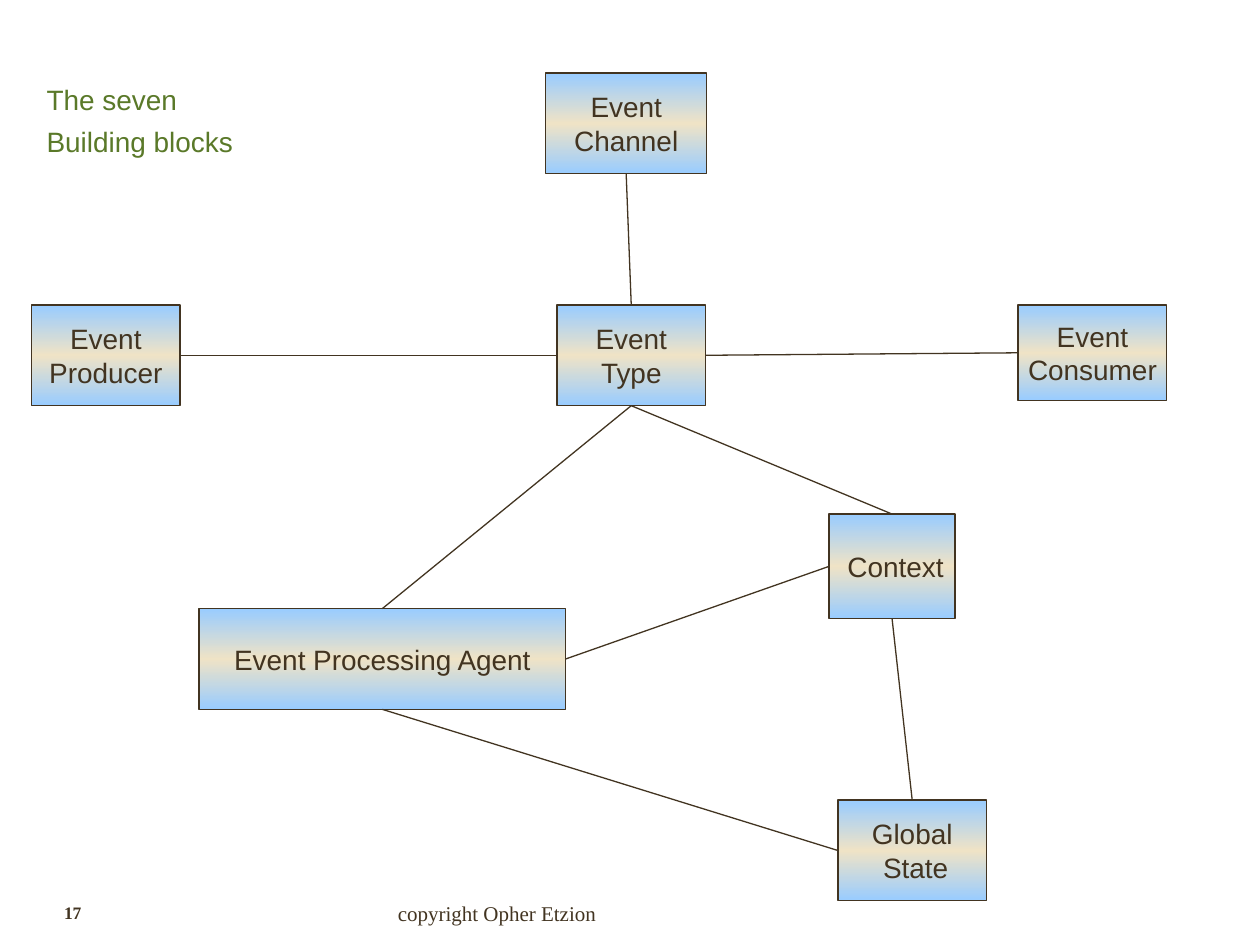
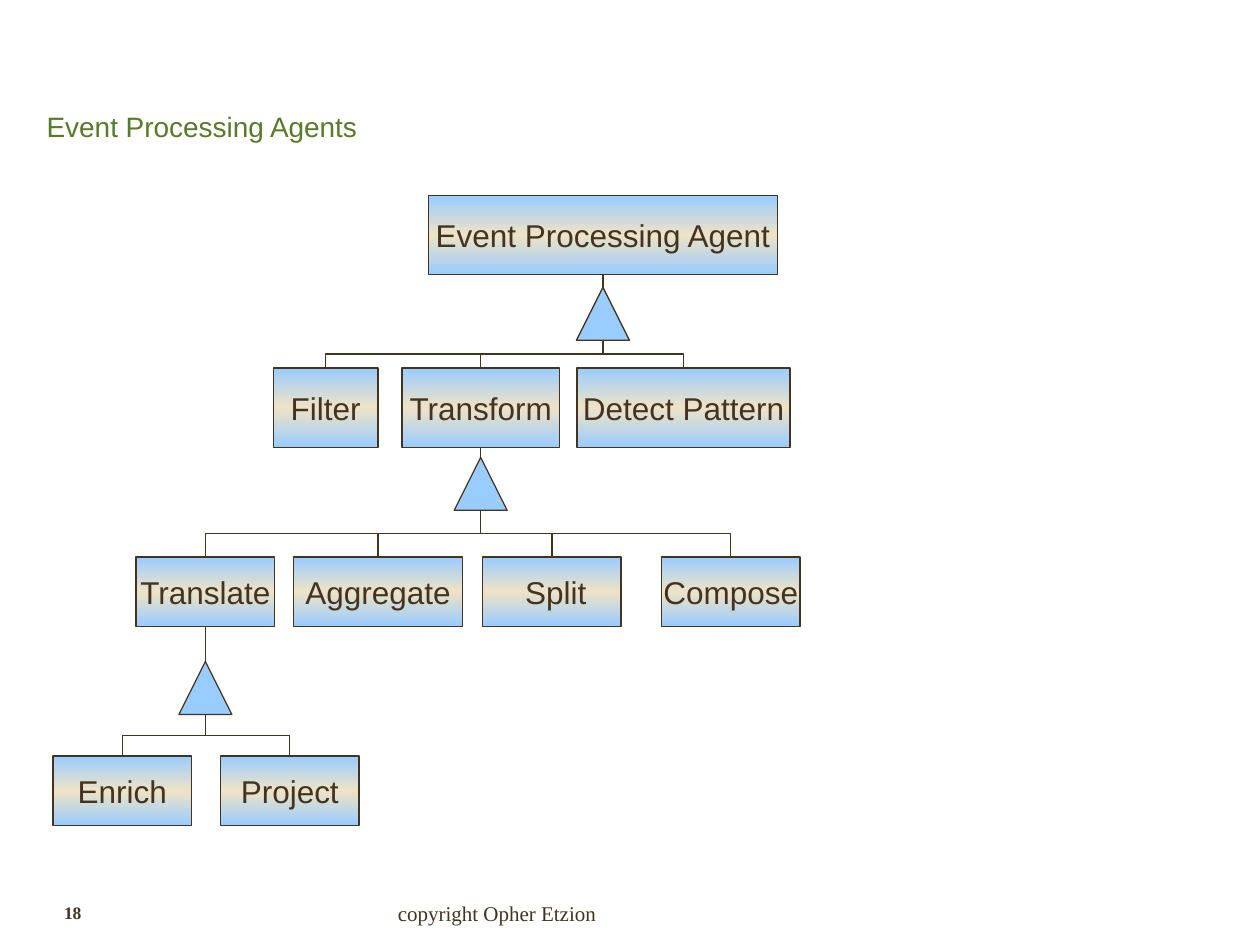
"""Two slides on the building blocks and agents of event processing."""
from copy import deepcopy

from lxml import etree
from pptx import Presentation
from pptx.dml.color import RGBColor
from pptx.enum import shapes, text
from pptx.oxml.ns import qn
from pptx.util import Inches, Pt

HUES = {"ink": "423421", "title": "5A7929", "sky": "99CCFF", "sand": "EFE3C6"}
SANS, SERIF = "Arial", "Times New Roman"
TITLE = (0.27, 0.36, 8.11, 1.25)
FOOT = (2.24, 6.9, 3.17, 0.5)
PAGE = (0.17, 7.11, 1.1, 0.35)
TOP, LEFT, BASE, RIGHT = range(4)

BLOCKS = {
    "agent": ("Event Processing Agent", 1.33, 4.25, 2.91, 0.8),
    "context": ("Context ", 6.33, 3.5, 1, 0.83),
    "channel": ("Event\nChannel", 4.08, 0, 1.28, 0.8),
    "consumer": ("Event\nConsumer", 7.83, 1.84, 1.18, 0.76),
    "type": ("Event\nType", 4.17, 1.84, 1.18, 0.8),
    "producer": ("Event\nProducer", 0, 1.84, 1.18, 0.8),
    "state": ("Global\nState ", 6.4, 5.77, 1.18, 0.8),
}
LINKS = [
    ("type", BASE, "agent", TOP),
    ("producer", RIGHT, "type", LEFT),
    ("channel", BASE, "type", TOP),
    ("consumer", LEFT, "type", RIGHT),
    ("context", LEFT, "agent", RIGHT),
    ("agent", BASE, "state", LEFT),
    ("context", TOP, "type", BASE),
    ("context", BASE, "state", TOP),
]
ROWS = [
    (0, 0.63, [("Event Processing Agent", 2.98, 2.77)]),
    (1.37, 0.63, [("Filter", 1.75, 0.83), ("Transform", 2.77, 1.25),
                  ("Detect Pattern", 4.16, 1.69)]),
    (2.87, 0.55, [("Translate", 0.66, 1.1), ("Aggregate", 1.91, 1.34),
                  ("Split ", 3.41, 1.1), ("Compose", 4.83, 1.1)]),
    (4.45, 0.55, [("Enrich", 0, 1.1), ("Project", 1.33, 1.1)]),
]
FORKS = [("Event Processing Agent", 0.1), ("Transform", 0.08), ("Translate", 0.28)]


def rgb(name):
    """Return a named colour."""
    return RGBColor.from_string(HUES[name])


def place(shape, box):
    """Move and size a shape to a box in inches."""
    shape.left, shape.top, shape.width, shape.height = map(Inches, box)


def write(para, words, size, face=SANS, hue="ink", bold=False):
    """Add one formatted run."""
    run = para.add_run()
    run.text = words
    font = run.font
    font.name, font.size, font.bold = face, Pt(size), bold
    font.color.rgb = rgb(hue)


def edge(line):
    """Give a line the shared colour and width."""
    line.color.rgb = rgb("ink")
    line.width = Pt(0.75)


def block(slide, label, box, size):
    """Draw a labelled box with a three-stop gradient."""
    rect = slide.shapes.add_shape(shapes.MSO_SHAPE.RECTANGLE, *map(Inches, box))
    rect.shadow.inherit = False
    fill = rect.fill
    fill.gradient()
    fill.gradient_angle = 270
    stop = rect._element.spPr.find(".//" + qn("a:gs"))
    stop.addnext(deepcopy(stop))
    for stop, spot, hue in zip(fill.gradient_stops, (0, 0.5, 1), ("sky", "sand", "sky")):
        stop.position = spot
        stop.color.rgb = rgb(hue)
    edge(rect.line)
    frame = rect.text_frame
    frame.word_wrap = False
    frame.vertical_anchor = text.MSO_ANCHOR.MIDDLE
    for i, words in enumerate(label.split("\n")):
        para = frame.add_paragraph() if i else frame.paragraphs[0]
        para.alignment = text.PP_ALIGN.CENTER
        para._p.get_or_add_pPr().set("rtl", "1")
        write(para, words, size)
    return rect


def wire(slide, kind, ends=(0, 0, 0, 0)):
    """Add a plain connector without a shadow."""
    line = slide.shapes.add_connector(kind, *map(int, ends))
    edge(line.line)
    etree.SubElement(line._element.spPr, qn("a:effectLst"))
    return line


def join(slide, start, out, stop, into):
    """Join the sides of two shapes with a straight line."""
    line = wire(slide, shapes.MSO_CONNECTOR.STRAIGHT)
    line.begin_connect(start, out)
    line.end_connect(stop, into)


def elbow(slide, mark, kid):
    """Run a down-across-down elbow from a triangle to a box."""
    x, y = mark.left + mark.width / 2, mark.top + mark.height
    dx, dy = kid.left + kid.width / 2 - x, kid.top - y
    mx, my = x + dx / 2, y + dy / 2
    line = wire(slide, shapes.MSO_CONNECTOR.ELBOW,
                (mx - dy / 2, my + dx / 2, mx + dy / 2, my - dx / 2))
    line._element.spPr.find(qn("a:xfrm")).set("rot", "5400000")


def fork(slide, head, gap, kids):
    """Hang a triangle below a box and branch to its kinds."""
    side = Inches(0.42)
    mark = slide.shapes.add_shape(
        shapes.MSO_SHAPE.ISOSCELES_TRIANGLE, head.left + (head.width - side) // 2,
        head.top + head.height + Inches(gap), side, side)
    mark.shadow.inherit = False
    mark.fill.solid()
    mark.fill.fore_color.rgb = rgb("sky")
    edge(mark.line)
    join(slide, head, BASE, mark, TOP)
    for kid in kids:
        elbow(slide, mark, kid)


def web(slide, x, y):
    """Draw the linked building blocks from a corner."""
    parts = {key: block(slide, label, (x + dx, y + dy, w, h), 16)
             for key, (label, dx, dy, w, h) in BLOCKS.items()}
    for start, out, stop, into in LINKS:
        join(slide, parts[start], out, parts[stop], into)


def tree(slide, x, y):
    """Draw the hierarchy of agents from a corner."""
    rows = [{label: block(slide, label, (x + dx, y + dy, w, h), 18)
             for label, dx, w in row} for dy, h, row in ROWS]
    for (head, gap), row, kids in zip(FORKS, rows, rows[1:]):
        fork(slide, row[head], gap, kids.values())


def title(slide, lines, box):
    """Format the title placeholder."""
    shape = slide.shapes.title
    place(shape, box)
    frame = shape.text_frame
    frame.word_wrap = True
    frame.auto_size = text.MSO_AUTO_SIZE.NONE
    frame.vertical_anchor = text.MSO_ANCHOR.MIDDLE
    para = frame.paragraphs[0]
    para.alignment = text.PP_ALIGN.LEFT
    para.line_spacing = 0.9
    for i, words in enumerate(lines):
        if i:
            para.add_line_break()
        write(para, words, 16, hue="title")
    write(para, " ", 24, hue="title")


def note(slide, words, box, size, align, anchor, bold=False):
    """Add one indented footer text."""
    frame = slide.shapes.add_textbox(*map(Inches, box)).text_frame
    frame.word_wrap = True
    frame.vertical_anchor = anchor
    para = frame.paragraphs[0]
    para.alignment = align
    para._p.get_or_add_pPr().set("marL", str(Inches(0.24)))
    write(para, words, size, SERIF, bold=bold)


def start(deck, lines, page):
    """Add a slide with its title and footers."""
    slide = deck.slides.add_slide(deck.slide_layouts.get_by_name("Title Only"))
    title(slide, lines, TITLE)
    note(slide, "copyright Opher Etzion", FOOT, 12,
         text.PP_ALIGN.CENTER, text.MSO_ANCHOR.BOTTOM)
    note(slide, str(page), PAGE, 10, text.PP_ALIGN.LEFT, text.MSO_ANCHOR.TOP, True)
    return slide


def main():
    """Build and save the deck."""
    deck = Presentation()
    deck.slide_width, deck.slide_height = Inches(10), Inches(7.5)
    web(start(deck, ["The seven ", "Building blocks "], 17), 0.25, 0.58)
    tree(start(deck, ["Event Processing Agents "], 18), 0.42, 1.55)
    deck.save("out.pptx")


if __name__ == "__main__":
    main()
